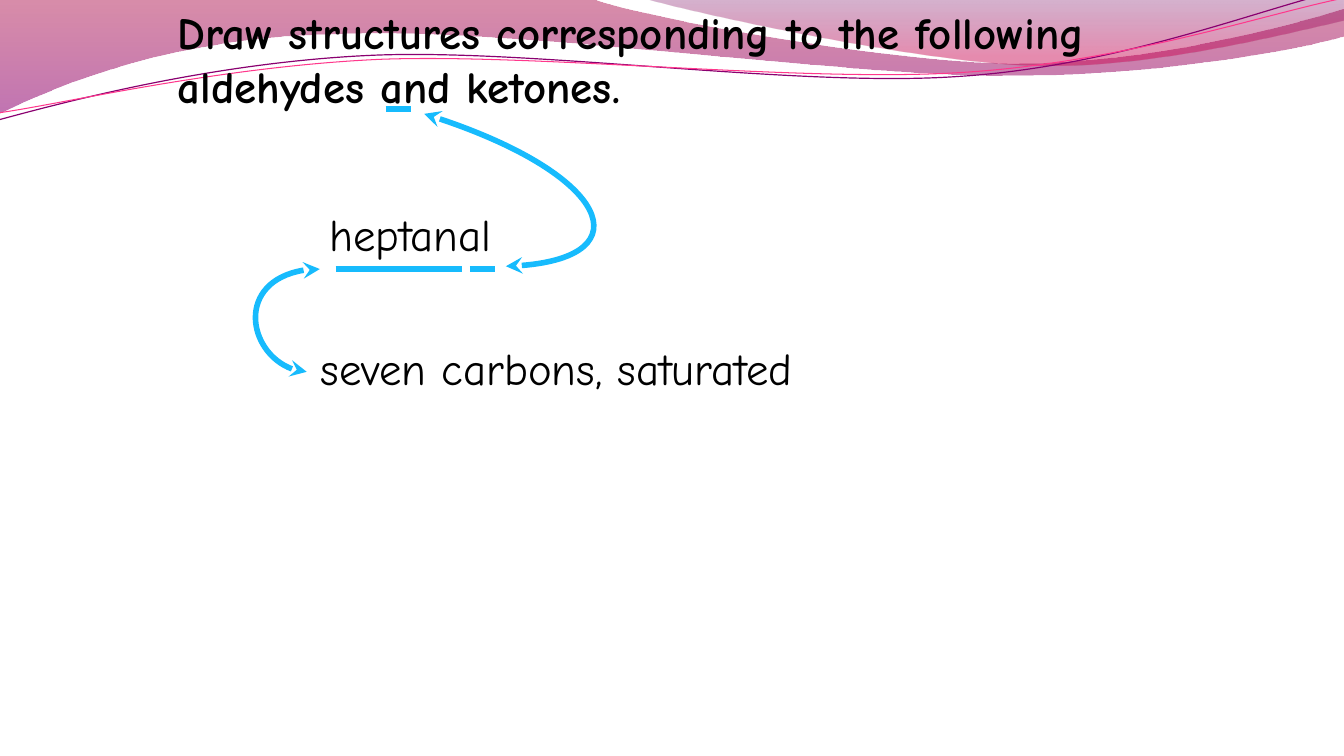
import lxml.etree
import pptx
import pptx.dml.color
import pptx.enum.shapes
import pptx.oxml.ns
import pptx.util

Cm = pptx.util.Cm
qn = pptx.oxml.ns.qn
FONT = "Comic Neue"
ACCENT = "17BBFD"


def color(hex_code):
    return pptx.dml.color.RGBColor.from_string(hex_code)


def add_child(parent, tag, **attributes):
    return lxml.etree.SubElement(parent, qn(tag), attributes)


def add_outline(slide, box, start, segments, closed=False):
    left, top = box[:2]
    vertices = [(Cm(left + x), Cm(top + y))
                for segment in [start, *segments]
                for x, y in zip(segment[::2], segment[1::2])]
    builder = slide.shapes.build_freeform(*vertices[0])
    builder.add_line_segments(vertices[1:], close=closed)
    shape = builder.convert_to_shape()
    shape.shadow.inherit = False
    steps = iter(list(shape.element.iter(qn("a:lnTo"))))
    for segment in segments:
        first = next(steps)
        if len(segment) == 6:
            first.tag = qn("a:cubicBezTo")
            for step in (next(steps), next(steps)):
                first.append(step[0])
                step.getparent().remove(step)
    return shape


def add_gradient_area(slide, box, start, segments, stops):
    shape = add_outline(slide, box, start, segments, closed=True)
    shape.line.fill.background()
    shape.fill.gradient()
    shape.fill.gradient_angle = 270
    for stop, (position, hex_code, opacity) in zip(shape.fill.gradient_stops, stops):
        stop.position = position
        stop.color.rgb = color(hex_code)
    tints = shape.element.spPr.iter(qn("a:srgbClr"))
    for tint, (position, hex_code, opacity) in zip(tints, stops):
        add_child(tint, "a:alpha", val=str(opacity * 1000))


def add_curve(slide, box, start, segments, hex_code, width, rotation=0, arrows=False):
    shape = add_outline(slide, box, start, segments)
    shape.rotation = rotation
    shape.fill.background()
    shape.line.color.rgb = color(hex_code)
    shape.line.width = pptx.util.Pt(width)
    if arrows:
        line = shape.element.spPr.find(qn("a:ln"))
        for end in ("a:headEnd", "a:tailEnd"):
            add_child(line, end, type="stealth")


def add_underline(slide, box, x, y, length):
    left, top = box[0] + x, box[1] + y
    connector = slide.shapes.add_connector(
        pptx.enum.shapes.MSO_CONNECTOR.STRAIGHT,
        Cm(left), Cm(top), Cm(left + length), Cm(top))
    connector.line.color.rgb = color(ACCENT)
    connector.line.width = pptx.util.Pt(4)
    add_child(connector.element.spPr, "a:effectLst")


def add_text(slide, box, text, size=32, bold=False, hex_code="000000"):
    frame = slide.shapes.add_textbox(*(Cm(length) for length in box)).text_frame
    frame.word_wrap = True
    run = frame.paragraphs[0].add_run()
    run.text = text
    run.font.name = FONT
    run.font.size = pptx.util.Pt(size)
    run.font.bold = bold
    run.font.color.rgb = color(hex_code)


def draw_waves(slide, box):
    add_gradient_area(
        slide, box, (-0.03, 0),
        [(14.91, -0.03),
         (16.1, 0.43, 22.48, 1.6, 25.68, 1.6),
         (28.91, 1.6, 32.46, 0.66, 33.86, 0.23),
         (33.91, 0.91),
         (33.3, 1.12, 29.46, 1.93, 25.25, 1.91),
         (21.06, 1.91, 12.93, 0.71, 8.71, 0.86),
         (4.37, 0.91, 1.55, 2.11, -0.03, 2.87)],
        [(0, "A90042", 45), (1, "8E0073", 55)])
    add_gradient_area(
        slide, box, (16.23, -0.03),
        [(17.25, 0.28, 23.09, 1.57, 26.04, 1.65),
         (28.98, 1.75, 32.56, 0.81, 33.86, 0.53),
         (33.86, 0)],
        [(0, "73005E", 30), (0.8, "C9004F", 45)])
    add_curve(
        slide, box, (-0.08, 2.22),
        [(1.6, 1.85, 5.36, 1.03, 9.37, 1.04),
         (13.41, 1.05, 20.02, 2.36, 24.1, 2.27),
         (28.17, 2.21, 31.85, 0.91, 33.86, 0.55)],
        "8A0070", 0.85, rotation=357.3)
    add_curve(
        slide, box, (-0.05, 2.04),
        [(1.57, 1.89, 5.54, 1.14, 9.6, 1.15),
         (13.64, 1.19, 20.19, 2.24, 24.23, 2.17),
         (28.3, 2.11, 31.9, 1.06, 33.93, 0.75)],
        "FF388C", 0.75, rotation=357.3)


def draw_question(slide, box):
    add_text(slide, box,
             "Draw structures corresponding to the following aldehydes and ketones.",
             bold=True)
    add_underline(slide, box, 5.49, 2.74, 0.63)


def draw_compound(slide, box):
    add_text(slide, box, "heptanal")
    add_underline(slide, box, 3.79, 1.7, 0.63)
    add_curve(slide, box, (2.64, -2.21), [(7.24, -0.79, 8.23, 1.55, 4.7, 1.63)],
              ACCENT, 4, arrows=True)
    add_underline(slide, box, 0.41, 1.7, 3.18)


def draw_hint(slide, box):
    add_curve(slide, box, (0.23, -1.68), [(-1.95, -1.7, -1.55, 0.86, -0.1, 0.91)],
              ACCENT, 4, arrows=True)
    add_text(slide, box, "seven carbons, saturated")


def main():
    presentation = pptx.Presentation()
    presentation.slide_width = Cm(33.87)
    presentation.slide_height = Cm(19.05)
    slide = presentation.slides.add_slide(presentation.slide_layouts[6])
    slide.background.fill.solid()
    slide.background.fill.fore_color.rgb = color("FFFFFF")
    draw_waves(slide, (0, 0, 33.87, 3.02))
    draw_question(slide, (4.23, 0, 25.4, 3))
    draw_compound(slide, (8.05, 5.08, 5.51, 1.63))
    draw_hint(slide, (7.83, 8.46, 14.6, 1.63))
    presentation.save("out.pptx")


if __name__ == "__main__":
    main()
